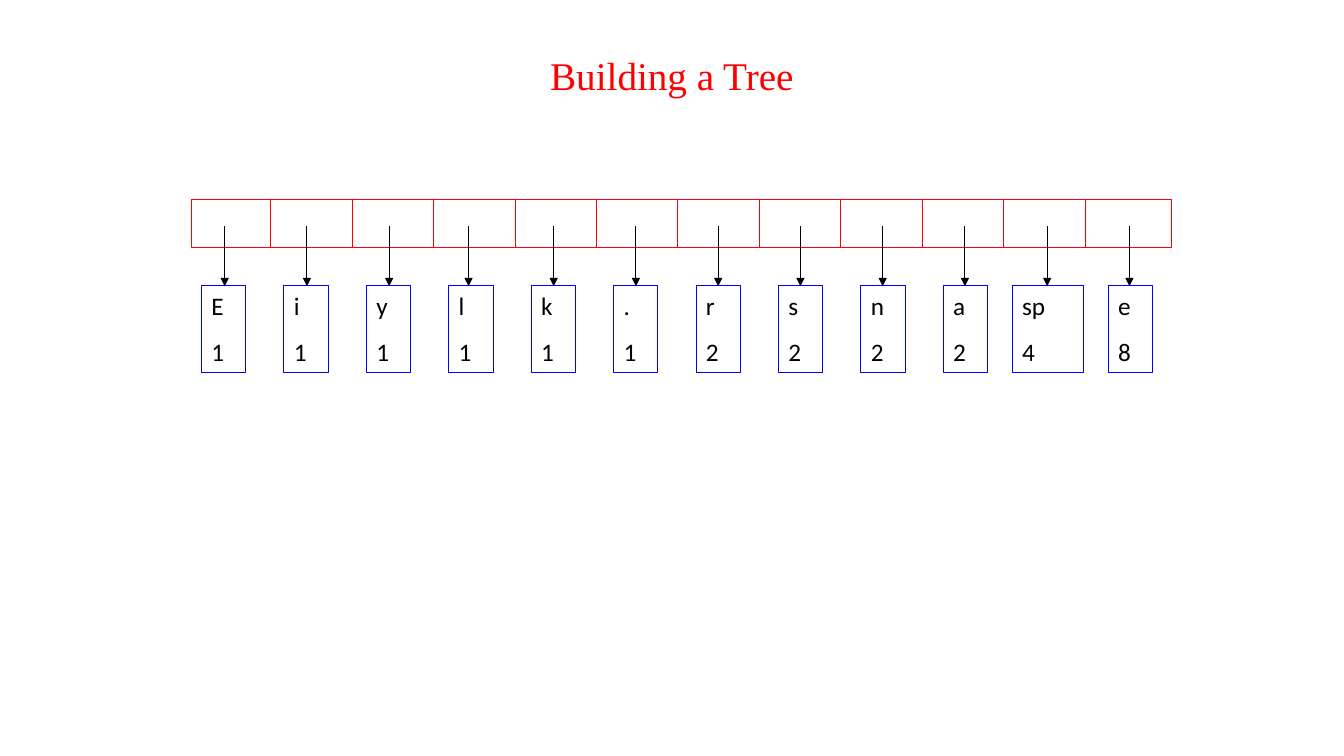
from lxml.etree import SubElement
from pptx import Presentation
from pptx.dml.color import RGBColor
from pptx.enum.shapes import MSO_CONNECTOR, MSO_SHAPE
from pptx.enum.text import MSO_ANCHOR, PP_ALIGN
from pptx.oxml.ns import qn
from pptx.util import Pt

TITLE = "Building a Tree"
NODES = [("E", 1), ("i", 1), ("y", 1), ("l", 1), ("k", 1), (".", 1),
         ("r", 2), ("s", 2), ("n", 2), ("a", 2), ("sp", 4), ("e", 8)]
ARROW_SHIFTS = {"l": -2.1}
RED, BLUE, BLACK, WHITE = "FF0000", "0000FF", "000000", "FFFFFF"

QUEUE_LEFT, QUEUE_TOP, QUEUE_WIDTH, QUEUE_HEIGHT = 136.8, 142.5, 700.5, 34.5
FIRST_DIVIDER, DIVIDER_STEP = 193.5, 58.2
FIRST_ARROW, ARROW_STEP, ARROW_TOP, ARROW_BOTTOM = 160.6, 58.78, 161.3, 204.5
FIRST_CENTER, NODE_STEP, NODE_TOP, NODE_HEIGHT = 159.9, 58.9, 204, 62
NODE_WIDTH, WIDE_NODE_WIDTH = 31.7, 51.1


def color(value):
    return RGBColor.from_string(value)


def add_rectangle(page, left, top, width, height, line, fill=None):
    box = page.shapes.add_shape(MSO_SHAPE.RECTANGLE, Pt(left), Pt(top), Pt(width), Pt(height))
    box.shadow.inherit = False
    box.line.color.rgb = color(line)
    box.line.width = Pt(0.75)
    if fill:
        box.fill.solid()
        box.fill.fore_color.rgb = color(fill)
    else:
        box.fill.background()
    return box


def add_vertical(page, x, top, bottom, line, arrow=False):
    connector = page.shapes.add_connector(MSO_CONNECTOR.STRAIGHT, Pt(x), Pt(top), Pt(x), Pt(bottom))
    connector.line.color.rgb = color(line)
    connector.line.width = Pt(0.75)
    if arrow:
        SubElement(connector.line._get_or_add_ln(), qn("a:tailEnd"), type="triangle")
    SubElement(connector._element.spPr, qn("a:effectLst"))


def add_text(para, text, font, size, ink):
    span = para.add_run()
    span.text = text
    span.font.name = font
    span.font.size = Pt(size)
    span.font.color.rgb = color(ink)


def add_title(page):
    frame = page.shapes.add_textbox(Pt(66.2), Pt(28.8), Pt(828), Pt(54)).text_frame
    frame.word_wrap = True
    frame.vertical_anchor = MSO_ANCHOR.MIDDLE
    para = frame.paragraphs[0]
    para.alignment = PP_ALIGN.CENTER
    para.line_spacing = 0.9
    add_text(para, TITLE, "Times New Roman", 28, RED)


def add_queue(page):
    add_rectangle(page, QUEUE_LEFT, QUEUE_TOP, QUEUE_WIDTH, QUEUE_HEIGHT, RED, WHITE)
    for index in range(len(NODES) - 1):
        add_vertical(page, FIRST_DIVIDER + index * DIVIDER_STEP,
                     QUEUE_TOP, QUEUE_TOP + QUEUE_HEIGHT, RED)


def add_node(page, index, letter, count):
    arrow_x = FIRST_ARROW + index * ARROW_STEP + ARROW_SHIFTS.get(letter, 0)
    add_vertical(page, arrow_x, ARROW_TOP, ARROW_BOTTOM, BLACK, arrow=True)
    width = WIDE_NODE_WIDTH if len(letter) > 1 else NODE_WIDTH
    left = FIRST_CENTER + index * NODE_STEP - width / 2
    frame = add_rectangle(page, left, NODE_TOP, width, NODE_HEIGHT, BLUE).text_frame
    frame.word_wrap = True
    frame.vertical_anchor = MSO_ANCHOR.TOP
    letter_para = frame.paragraphs[0]
    count_para = frame.add_paragraph()
    count_para.space_before = Pt(11.2)
    for para, text in ((letter_para, letter), (count_para, str(count))):
        para.alignment = PP_ALIGN.LEFT
        add_text(para, text, "Calibri", 18, BLACK)


def main():
    deck = Presentation()
    deck.slide_width, deck.slide_height = Pt(960.5), Pt(540)
    page = deck.slides.add_slide(deck.slide_layouts[6])
    add_title(page)
    add_queue(page)
    for index, (letter, count) in enumerate(NODES):
        add_node(page, index, letter, count)
    deck.save("out.pptx")


if __name__ == "__main__":
    main()
